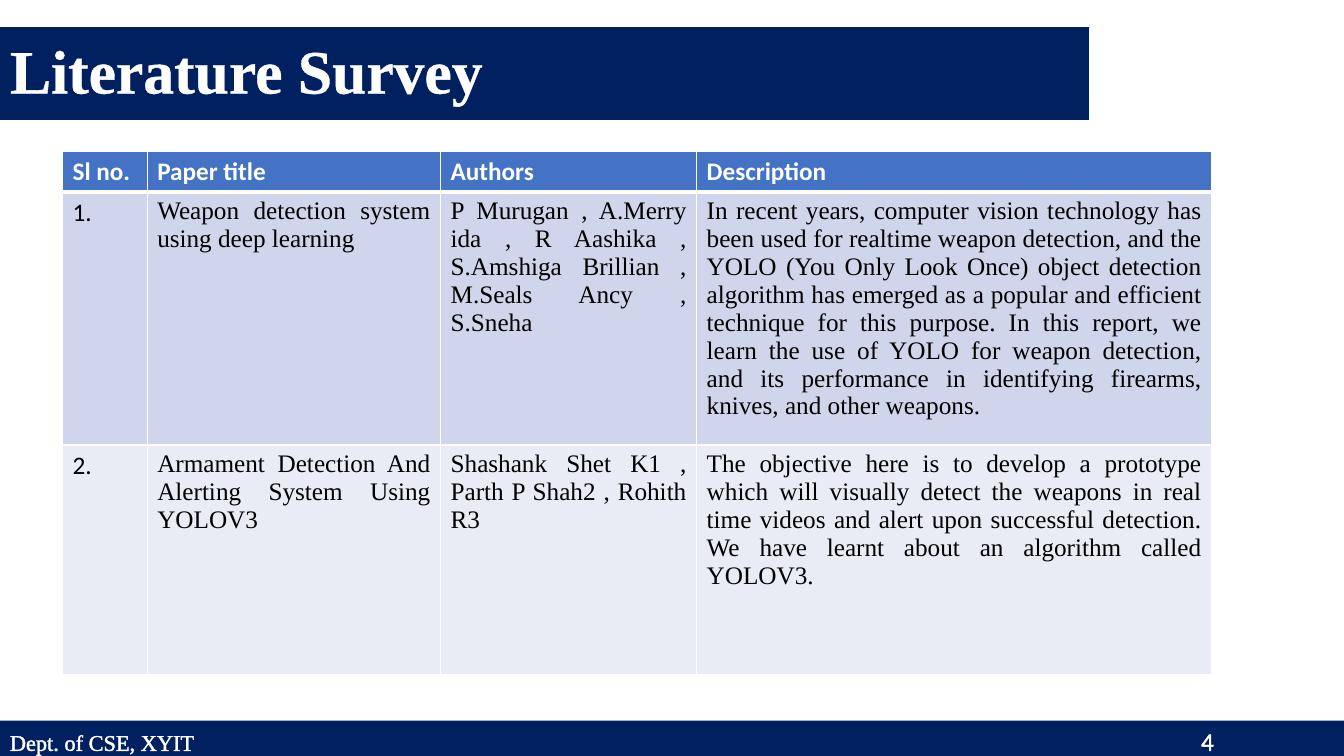
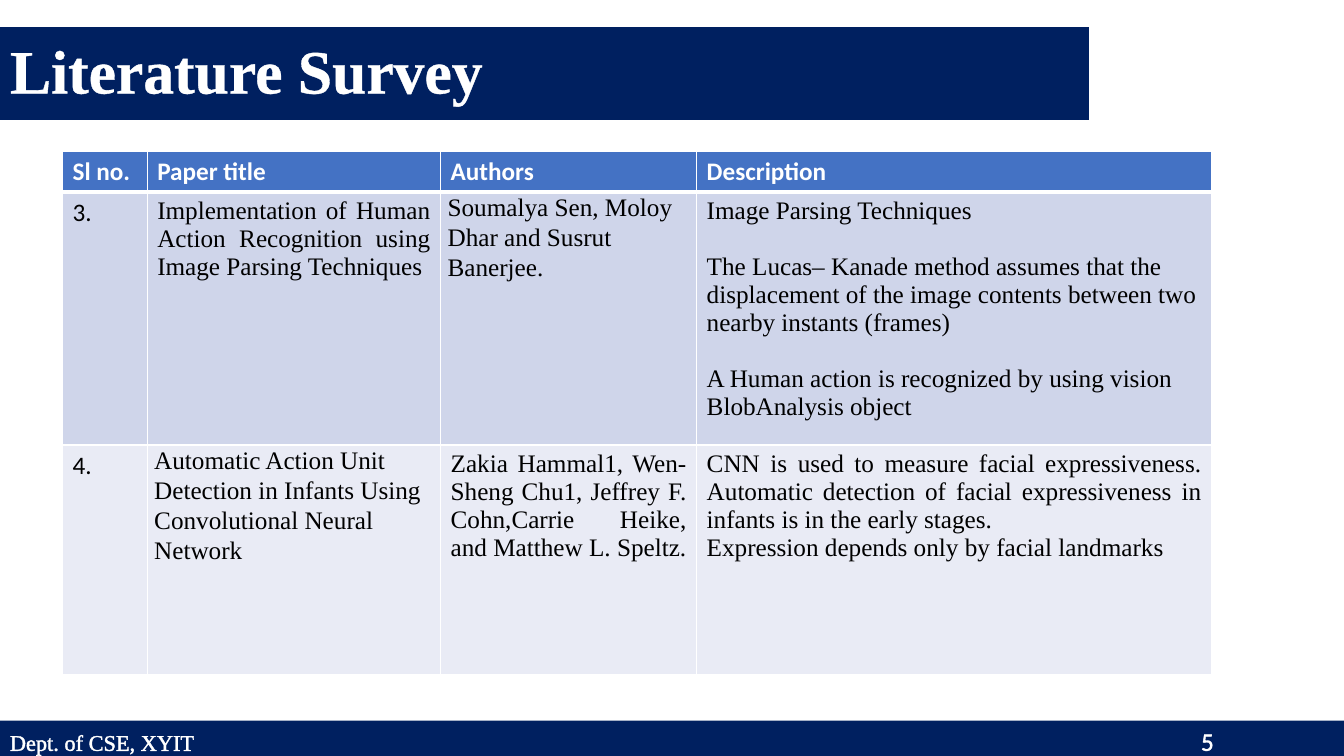
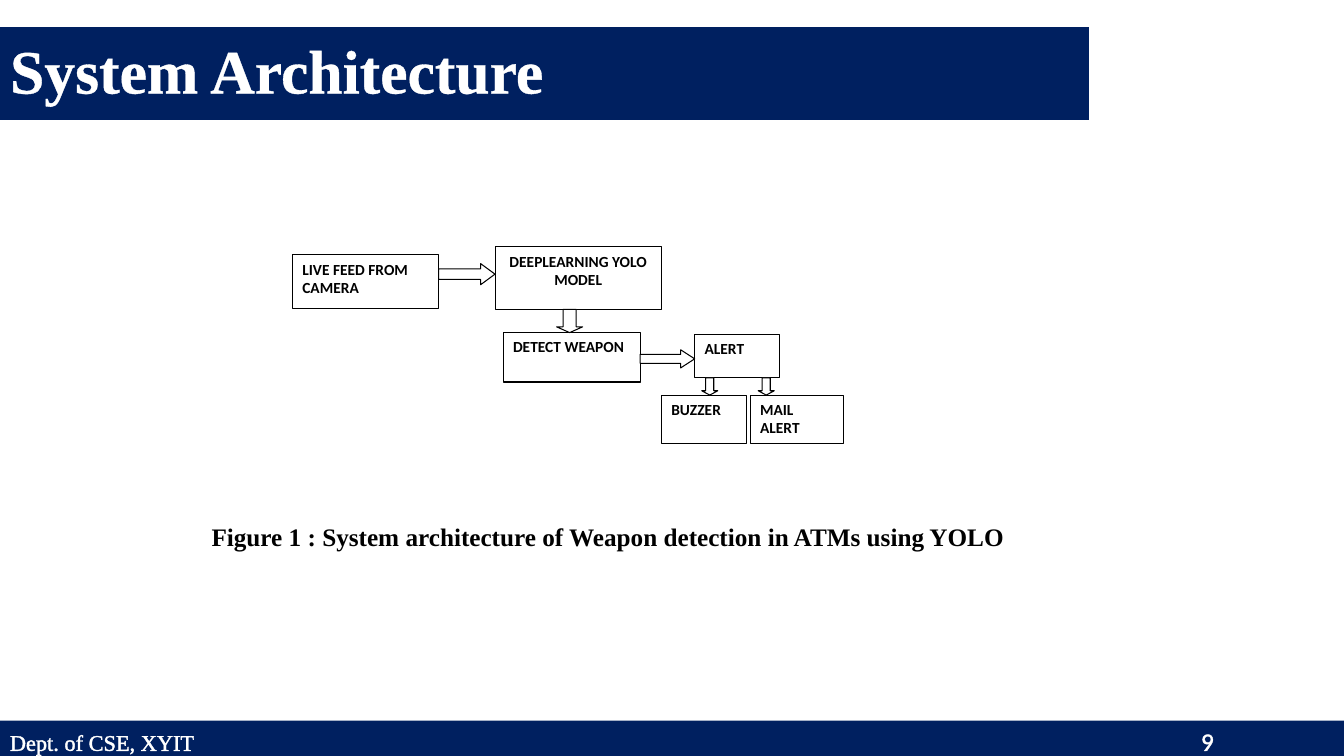
from lxml.etree import SubElement
from pptx import Presentation
from pptx.dml.color import RGBColor
from pptx.enum.shapes import MSO_SHAPE
from pptx.enum.text import MSO_ANCHOR, MSO_AUTO_SIZE, PP_ALIGN
from pptx.oxml import parse_xml
from pptx.oxml.ns import nsdecls, qn
from pptx.util import Inches, Pt

COLORS = {
    "navy": "002060",
    "header": "4472C4",
    "band_dark": "CFD5EA",
    "band_light": "E9EBF5",
    "white": "FFFFFF",
    "black": "000000",
}
SERIF = "Times New Roman"
SANS = "Calibri"
SLIDE_WIDTH = 13.33
SLIDE_HEIGHT = 7.5
DEPARTMENT = "Dept. of CSE, XYIT"
NUMBER_TAB = 11.94

COLUMN_WIDTHS = [0.84, 2.91, 2.54, 5.11]
ROW_HEIGHTS = [0.39, 2.51, 2.28]
HEADINGS = ["Sl no.", "Paper title", "Authors", "Description"]
LINE_GAP = 20

FIRST_PAPERS = [
    ["1.", "Weapon detection system using deep learning",
     "P Murugan , A.Merry ida , R Aashika , S.Amshiga Brillian , "
     "M.Seals Ancy , S.Sneha",
     "In recent years, computer vision technology has been used for realtime "
     "weapon detection, and the YOLO (You Only Look Once) object detection "
     "algorithm has emerged as a popular and efficient technique for this "
     "purpose. In this report, we learn the use of YOLO for weapon detection, "
     "and its performance in identifying firearms, knives, and other weapons."],
    ["2.", "Armament Detection And Alerting System Using YOLOV3",
     "Shashank Shet K1 , Parth P Shah2 , Rohith R3",
     "The objective here is to develop a prototype which will visually detect "
     "the weapons in real time videos and alert upon successful detection. "
     "We have learnt about an algorithm called YOLOV3."],
]


def rgb(color):
    return RGBColor.from_string(COLORS[color])


def paint(shape, fill, line=None):
    shape.shadow.inherit = False
    shape.fill.solid()
    shape.fill.fore_color.rgb = rgb(fill)
    if line:
        shape.line.color.rgb = rgb(line)
        shape.line.width = Pt(0.75)
    else:
        shape.line.fill.background()


def line_xml(tag, color, points):
    return parse_xml(
        f'<a:{tag} {nsdecls("a")} w="{int(Pt(points))}"><a:solidFill>'
        f'<a:srgbClr val="{COLORS[color]}"/></a:solidFill></a:{tag}>')


def add_run(paragraph, text, size, font, color, bold=False, outlined=False):
    run = paragraph.add_run()
    run.text = text
    run.font.size = Pt(size)
    run.font.name = font
    run.font.bold = bold
    run.font.color.rgb = rgb(color)
    if outlined:
        run._r.get_or_add_rPr().insert(0, line_xml("ln", color, 0.75))


def add_block(slide, kind, left, top, width, height, fill, line=None):
    shape = slide.shapes.add_shape(
        kind, Inches(left), Inches(top), Inches(width), Inches(height))
    paint(shape, fill, line)
    shape.text_frame.word_wrap = True
    shape.text_frame.vertical_anchor = MSO_ANCHOR.TOP
    shape.text_frame.paragraphs[0].alignment = PP_ALIGN.LEFT
    return shape


def add_footer(slide, number):
    footer = add_block(slide, MSO_SHAPE.RECTANGLE,
                       0, 7.15, SLIDE_WIDTH, 0.4, "navy")
    paragraph = footer.text_frame.paragraphs[0]
    tabs = SubElement(paragraph._p.get_or_add_pPr(), qn("a:tabLst"))
    SubElement(tabs, qn("a:tab"), pos=str(int(Inches(NUMBER_TAB))), algn="r")
    add_run(paragraph, f"{DEPARTMENT}\t", 16, SERIF, "white", outlined=True)
    add_run(paragraph, str(number), 18, SANS, "white", outlined=True)


def add_titled_slide(presentation, text, number):
    slide = presentation.slides.add_slide(presentation.slide_layouts[5])
    title = slide.shapes.title
    title.left, title.top = Inches(0), Inches(0.27)
    title.width, title.height = Inches(10.8), Inches(0.92)
    title.fill.solid()
    title.fill.fore_color.rgb = rgb("navy")
    frame = title.text_frame
    frame.auto_size = MSO_AUTO_SIZE.NONE
    frame.vertical_anchor = MSO_ANCHOR.MIDDLE
    paragraph = frame.paragraphs[0]
    paragraph.alignment = PP_ALIGN.LEFT
    paragraph.line_spacing = 0.9
    add_run(paragraph, text, 44, SERIF, "white", bold=True, outlined=True)
    add_footer(slide, number)
    return slide


def style_cell(cell, fill, top, bottom):
    cell.fill.solid()
    cell.fill.fore_color.rgb = rgb(fill)
    borders = [("lnL", 1), ("lnR", 1), ("lnT", top), ("lnB", bottom)]
    for index, (tag, points) in enumerate(borders):
        cell._tc.get_or_add_tcPr().insert(index, line_xml(tag, "white", points))


def fill_cell(cell, texts, font, color="black", bold=False,
              alignments=(PP_ALIGN.LEFT,), gap=0):
    frame = cell.text_frame
    for index, text in enumerate(texts):
        paragraph = frame.add_paragraph() if index else frame.paragraphs[0]
        paragraph.alignment = alignments[min(index, len(alignments) - 1)]
        if index and gap:
            paragraph.space_before = Pt(gap)
        add_run(paragraph, text, 18, font, color, bold)


def loosen_cell(cell):
    cell.margin_left = cell.margin_right = Inches(0.07)
    cell.margin_top = cell.margin_bottom = Inches(0)
    paragraph = cell.text_frame.paragraphs[0]
    paragraph.alignment = PP_ALIGN.LEFT
    paragraph.line_spacing = 1.07
    paragraph.space_after = Pt(8)


def add_paper_table(slide, papers):
    table = slide.shapes.add_table(
        len(ROW_HEIGHTS), len(COLUMN_WIDTHS), Inches(0.62), Inches(1.5),
        Inches(sum(COLUMN_WIDTHS)), Inches(sum(ROW_HEIGHTS))).table
    table.horz_banding = False
    for column, width in zip(table.columns, COLUMN_WIDTHS):
        column.width = Inches(width)
    for row, height in zip(table.rows, ROW_HEIGHTS):
        row.height = Inches(height)
    for cell, heading in zip(table.rows[0].cells, HEADINGS):
        style_cell(cell, "header", 1, 3)
        fill_cell(cell, [heading], SANS, "white", True)
    for index, paper in enumerate(papers, start=1):
        fill, top = ("band_dark", 3) if index % 2 else ("band_light", 1)
        for column, content in enumerate(paper):
            cell = table.cell(index, column)
            style_cell(cell, fill, top, 1)
            if column == 0:
                fill_cell(cell, [content], SANS)
            elif isinstance(content, str):
                fill_cell(cell, [content], SERIF,
                          alignments=[PP_ALIGN.JUSTIFY])
            else:
                fill_cell(cell, **content)
    return table


def add_box(slide, text, left, top, width, height, alignment=PP_ALIGN.LEFT):
    box = add_block(slide, MSO_SHAPE.RECTANGLE,
                    left, top, width, height, "white", "black")
    paragraph = box.text_frame.paragraphs[0]
    paragraph.alignment = alignment
    add_run(paragraph, text, 11, SANS, "black", bold=True)
    return box


def add_right_arrow(slide, source, target, center, thickness, head):
    start = (source.left + source.width) / Inches(1)
    end = target.left / Inches(1)
    arrow = add_block(slide, MSO_SHAPE.RIGHT_ARROW, start,
                      center - thickness / 2, end - start, thickness,
                      "white", "black")
    arrow.adjustments[1] = head


def add_down_arrow(slide, source, target, center, thickness, head):
    start = (source.top + source.height) / Inches(1)
    end = target.top / Inches(1)
    arrow = add_block(slide, MSO_SHAPE.DOWN_ARROW, center - thickness / 2,
                      start, thickness, end - start, "white", "black")
    arrow.adjustments[1] = head


def add_caption(slide, text):
    caption = slide.shapes.add_textbox(
        Inches(2), Inches(5.12), Inches(9.1), Inches(0.4))
    caption.text_frame.word_wrap = True
    add_run(caption.text_frame.paragraphs[0], text, 18, SERIF, "black", True)


def build_second_survey(slide):
    parsing_notes = {
        "texts": [
            "Image Parsing Techniques",
            "The Lucas– Kanade method assumes that the displacement of the "
            "image contents between two nearby instants (frames)",
            "A Human action is recognized by using vision BlobAnalysis object"],
        "font": SERIF, "gap": LINE_GAP}
    infant_notes = {
        "texts": [
            "CNN is used to measure facial expressiveness. Automatic detection "
            "of facial expressiveness in infants is in the early stages.",
            "Expression depends only by facial landmarks"],
        "font": SERIF, "alignments": [PP_ALIGN.JUSTIFY, PP_ALIGN.LEFT]}
    table = add_paper_table(slide, [
        ["3.", "Implementation of Human Action Recognition using Image "
         "Parsing Techniques",
         "Soumalya Sen, Moloy Dhar and Susrut Banerjee.", parsing_notes],
        ["4.", "Automatic Action Unit Detection in Infants Using "
         "Convolutional Neural Network",
         "Zakia Hammal1, Wen-Sheng Chu1, Jeffrey F. Cohn,Carrie Heike, "
         "and Matthew L. Speltz.", infant_notes],
    ])
    loosen_cell(table.cell(1, 2))
    loosen_cell(table.cell(2, 1))


def build_architecture(slide):
    camera = add_box(slide, "LIVE FEED FROM CAMERA", 2.9, 2.53, 1.45, 0.53)
    model = add_box(slide, "DEEPLEARNING YOLO MODEL", 4.91, 2.45, 1.65, 0.62,
                    PP_ALIGN.CENTER)
    detector = add_box(slide, "DETECT WEAPON", 4.99, 3.3, 1.36, 0.49)
    alert = add_box(slide, "ALERT", 6.89, 3.32, 0.84, 0.43)
    buzzer = add_box(slide, "BUZZER", 6.56, 3.92, 0.84, 0.48)
    mail = add_box(slide, "MAIL ALERT", 7.44, 3.92, 0.93, 0.48)
    add_right_arrow(slide, camera, model, 2.72, 0.21, 0.68)
    add_down_arrow(slide, model, detector, 5.65, 0.26, 0.25)
    add_right_arrow(slide, detector, alert, 3.56, 0.18, 0.77)
    for target, center in [(buzzer, 7.04), (mail, 7.6)]:
        add_down_arrow(slide, alert, target, center, 0.16, 0.27)
    add_caption(slide, "Figure 1 : System architecture of Weapon detection "
                       "in ATMs using YOLO")


def main():
    presentation = Presentation()
    presentation.slide_width = Inches(SLIDE_WIDTH)
    presentation.slide_height = Inches(SLIDE_HEIGHT)
    add_paper_table(
        add_titled_slide(presentation, "Literature Survey", 4), FIRST_PAPERS)
    build_second_survey(add_titled_slide(presentation, "Literature Survey", 5))
    build_architecture(add_titled_slide(presentation, "System Architecture", 9))
    presentation.save("out.pptx")


if __name__ == "__main__":
    main()
